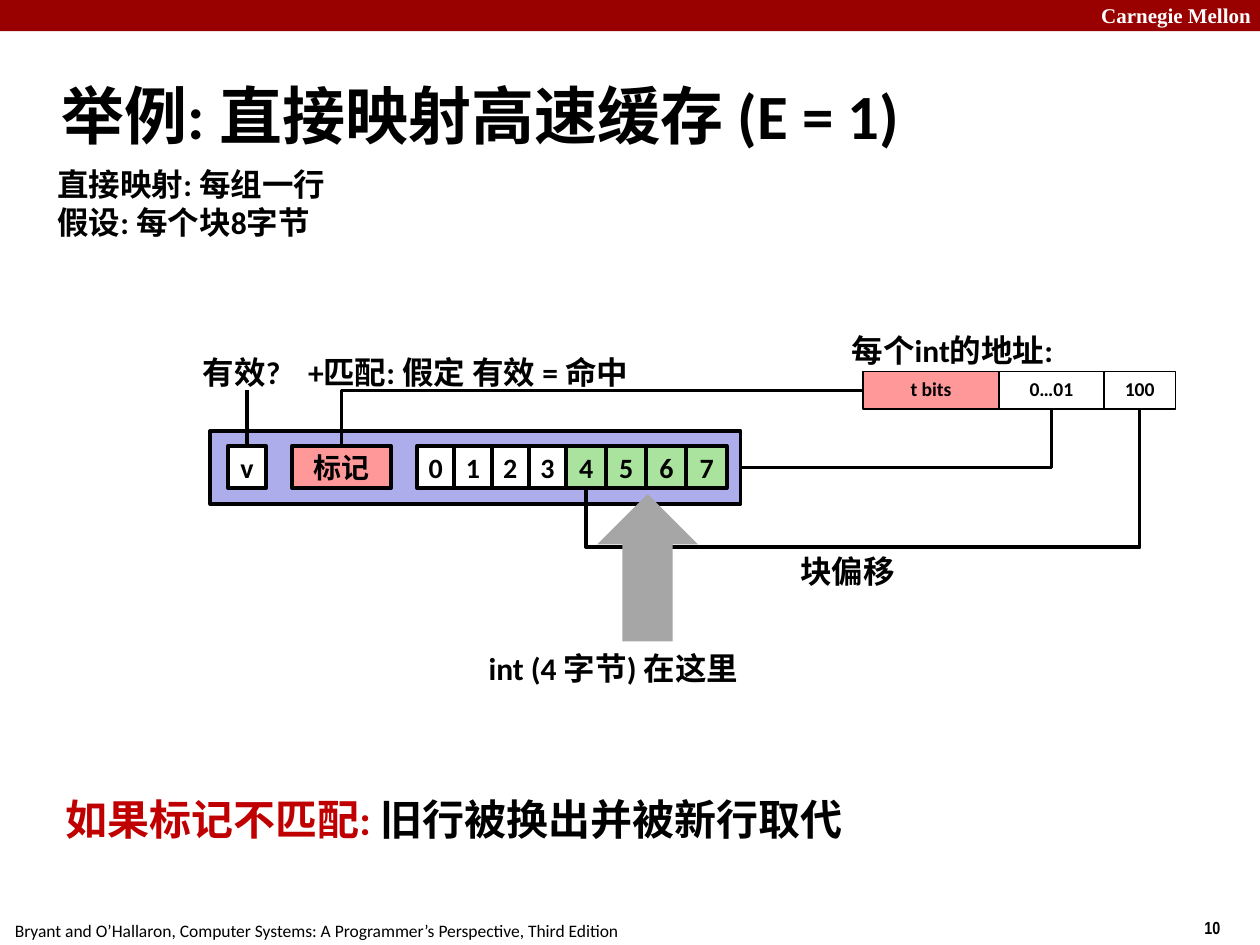
from lxml import etree
from pptx import Presentation
from pptx.dml.color import RGBColor
from pptx.enum import shapes, text
from pptx.oxml.ns import qn
from pptx.util import Cm, Pt


class Theme:
    font, header_font, number_font = "Calibri", "Times New Roman", "Arial Narrow"
    black, white, red = "000000", "FFFFFF", "C00000"
    banner, pink, lilac, green, gray = "990000", "FF9999", "ADADEB", "A9E39D", "A6A6A6"
    title, conclusion, label, cell, header, field, footer = 36, 24, 18, 16, 12, 11.2, 10
    thin, wire, thick = 1, 2, 2.25


T = Theme
TITLE = "举例: 直接映射高速缓存 (E = 1)"

# text, left, top, width, height (cm)
LABELS = [
    ("直接映射: 每组一行\n假设: 每个块8字节", 0.91, 3.2, 6.2, 1.78),
    ("每个int的地址:", 16.92, 6.55, 5.03, 1.02),
    ("匹配: 假定 有效 = 命中", 6.27, 6.99, 7.26, 1.02),
    ("有效?\t+", 3.84, 6.99, 2.97, 1.02),
    ("int (4 字节) 在这里", 9.6, 12.95, 5.99, 1.02),
    ("块偏移", 15.88, 11, 2.41, 1.02),
]
PLUS_TAB = 2.12
CONCLUSION = [("如果标记不匹配: ", T.red), ("旧行被换出并被新行取代", T.black)]

# text, width (cm), fill
ADDRESS_FIELDS = [("t bits", 2.74, T.pink), ("0…01", 2.11, T.white), ("100", 1.45, T.white)]
ADDRESS_LEFT, ADDRESS_TOP, ADDRESS_HEIGHT = 17.4, 7.49, 0.76

CACHE_LINE = (4.24, 8.69, 10.69, 1.47)
CELL_TOP, CELL_HEIGHT = 8.99, 0.85
VALID_BIT = [("v", 0.76, T.white)]
TAG = [("标记", 1.99, T.pink)]
BLOCK = [(str(i), 0.75 if i < 4 else 0.81, T.white if i < 4 else T.green) for i in range(8)]
VALID_LEFT, TAG_LEFT, BLOCK_LEFT = 4.6, 5.89, 8.41
VALID_WIRE_TOP = 7.87
OFFSET_WIRE_BEND = 1.75
INT_ARROW = (12.04, 9.96, 2.03, 2.97)


def rgb(color):
    return RGBColor.from_string(color)


def style_font(font, size, color=T.black, name=T.font, bold=True):
    font.name, font.size, font.bold = name, Pt(size), bold
    font.color.rgb = rgb(color)


def add_shape(slide, kind, box, fill, line=None):
    sp = slide.shapes.add_shape(kind, *map(Cm, box))
    sp.shadow.inherit = False
    sp.fill.solid()
    sp.fill.fore_color.rgb = rgb(fill)
    if line:
        sp.line.color.rgb = rgb(T.black)
        sp.line.width = Pt(line)
    else:
        sp.line.fill.background()
    return sp


def add_row(slide, cells, left, top, height, line, size, spacing=1.0):
    """Lay labelled boxes side by side and return them."""
    row = []
    for label, width, fill in cells:
        sp = add_shape(slide, shapes.MSO_SHAPE.RECTANGLE, (left, top, width, height), fill, line)
        tf = sp.text_frame
        tf.word_wrap = False
        tf.vertical_anchor = text.MSO_ANCHOR.MIDDLE
        p = tf.paragraphs[0]
        p.text, p.alignment, p.line_spacing = label, text.PP_ALIGN.CENTER, spacing
        style_font(p.font, size)
        row.append(sp)
        left += width
    return row


def add_text(slide, content, box, size, **font):
    tf = slide.shapes.add_textbox(*map(Cm, box)).text_frame
    tf.word_wrap = False
    tf.auto_size = text.MSO_AUTO_SIZE.SHAPE_TO_FIT_TEXT
    tf.text = content
    for p in tf.paragraphs:
        if "\t" in content:
            tabs = etree.SubElement(p._p.get_or_add_pPr(), qn("a:tabLst"))
            etree.SubElement(tabs, qn("a:tab"), pos=str(Cm(PLUS_TAB)), algn="l")
        style_font(p.font, size, **font)
    return tf


def add_wire(slide, kind, start=(0, 0)):
    wire = slide.shapes.add_connector(kind, *map(Cm, start), 0, 0)
    wire.line.color.rgb = rgb(T.black)
    wire.line.width = Pt(T.wire)
    etree.SubElement(wire._element.spPr, qn("a:effectLst"))
    return wire


def add_elbow(slide, begin, end, preset, bend=None):
    """Join two (shape, side) ends; a wire leaving a bottom side is turned by 90 degrees."""
    wire = add_wire(slide, shapes.MSO_CONNECTOR.ELBOW)
    wire.begin_connect(*begin)
    wire.end_connect(*end)
    geom = wire._element.spPr.find(qn("a:prstGeom"))
    geom.set("prst", preset)
    if bend:
        guides = geom.find(qn("a:avLst"))
        etree.SubElement(guides, qn("a:gd"), name="adj1", fmla=f"val {round(bend * 100000)}")
    if begin[1] == 2:
        left, top, w, h = wire.left, wire.top, wire.width, wire.height
        xfrm = wire._element.spPr.find(qn("a:xfrm"))
        xfrm.attrib.pop("flipH", None)
        xfrm.set("rot", "5400000")
        wire.left, wire.top = left + (w - h) // 2, top + (h - w) // 2
        wire.width, wire.height = h, w


def add_frame(slide):
    add_shape(slide, shapes.MSO_SHAPE.RECTANGLE, (0, 0, 25.4, 0.63), T.banner)
    add_text(slide, "Carnegie Mellon", (21.95, -0.08, 3.63, 0.76), T.header,
             color=T.white, name=T.header_font)
    add_text(slide, "10", (24.03, 18.36, 1.9, 0.69), T.footer, name=T.number_font)
    add_text(slide, "Bryant and O’Hallaron, Computer Systems: A Programmer’s Perspective, Third Edition",
             (0.05, 18.42, 12.73, 0.69), T.footer, bold=False)


def add_title(slide):
    sp = slide.shapes.title
    sp.left, sp.top, sp.width, sp.height = map(Cm, (0.99, 1.24, 21.08, 2.11))
    tf = sp.text_frame
    tf.text = TITLE
    tf.vertical_anchor = text.MSO_ANCHOR.MIDDLE
    p = tf.paragraphs[0]
    p.alignment = text.PP_ALIGN.LEFT
    style_font(p.font, T.title)


def add_diagram(slide):
    tag_bits, set_index, offset = add_row(
        slide, ADDRESS_FIELDS, ADDRESS_LEFT, ADDRESS_TOP, ADDRESS_HEIGHT, T.thin, T.field, 0.8)
    line = add_shape(slide, shapes.MSO_SHAPE.RECTANGLE, CACHE_LINE, T.lilac, T.thick)
    (valid,), (tag,), block = [
        add_row(slide, cells, left, CELL_TOP, CELL_HEIGHT, T.thick, T.cell)
        for cells, left in ((VALID_BIT, VALID_LEFT), (TAG, TAG_LEFT), (BLOCK, BLOCK_LEFT))]

    add_elbow(slide, (set_index, 2), (line, 3), "bentConnector2")
    add_elbow(slide, (tag_bits, 1), (tag, 0), "bentConnector2")
    add_elbow(slide, (offset, 2), (block[4], 2), "bentConnector3", OFFSET_WIRE_BEND)
    valid_center = VALID_LEFT + VALID_BIT[0][1] / 2
    wire = add_wire(slide, shapes.MSO_CONNECTOR.STRAIGHT, (valid_center, VALID_WIRE_TOP))
    wire.end_connect(valid, 0)
    add_shape(slide, shapes.MSO_SHAPE.UP_ARROW, INT_ARROW, T.gray)


def main():
    prs = Presentation()
    prs.slide_width, prs.slide_height = Cm(25.4), Cm(19.05)
    slide = prs.slides.add_slide(prs.slide_layouts[5])
    add_frame(slide)
    add_title(slide)
    add_diagram(slide)
    for content, *box in LABELS:
        add_text(slide, content, box, T.label)
    p = add_text(slide, "", (1.07, 15.88, 16.56, 1.27), T.conclusion).paragraphs[0]
    for content, color in CONCLUSION:
        r = p.add_run()
        r.text = content
        r.font.color.rgb = rgb(color)
    prs.save("out.pptx")


if __name__ == "__main__":
    main()
